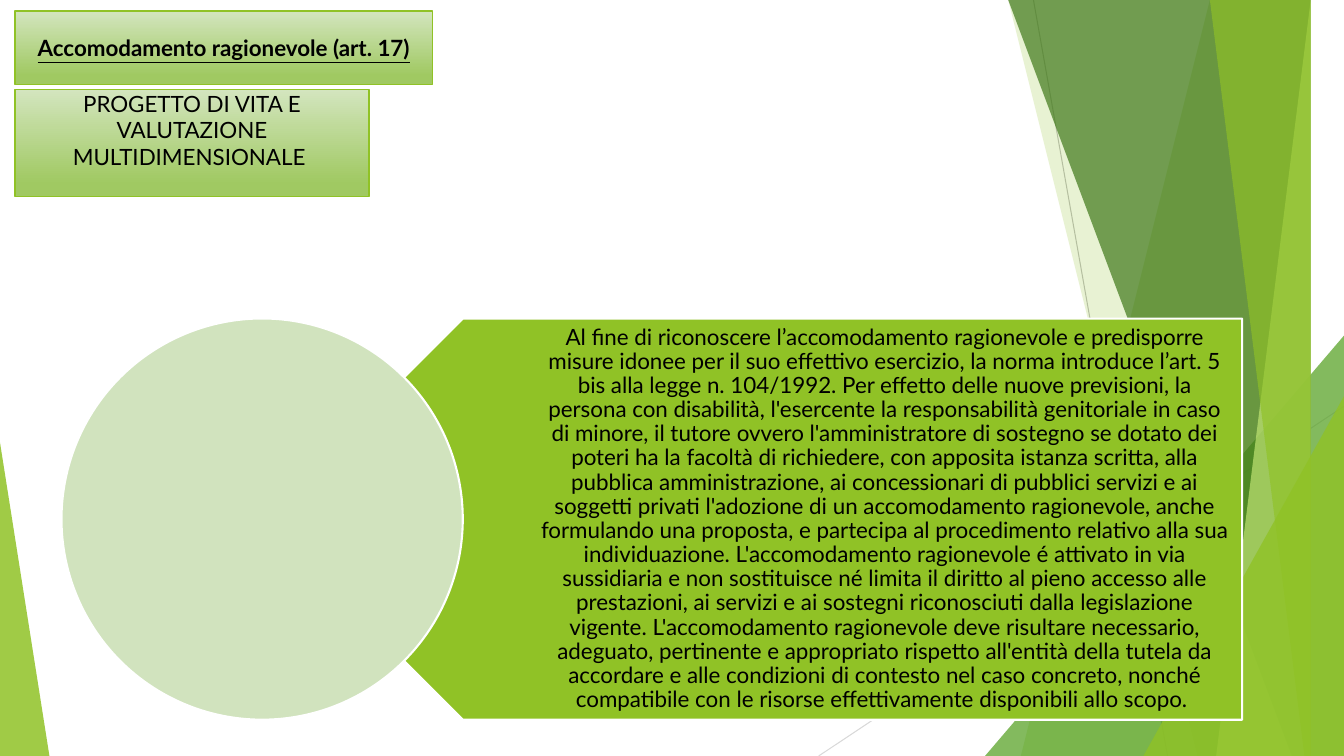
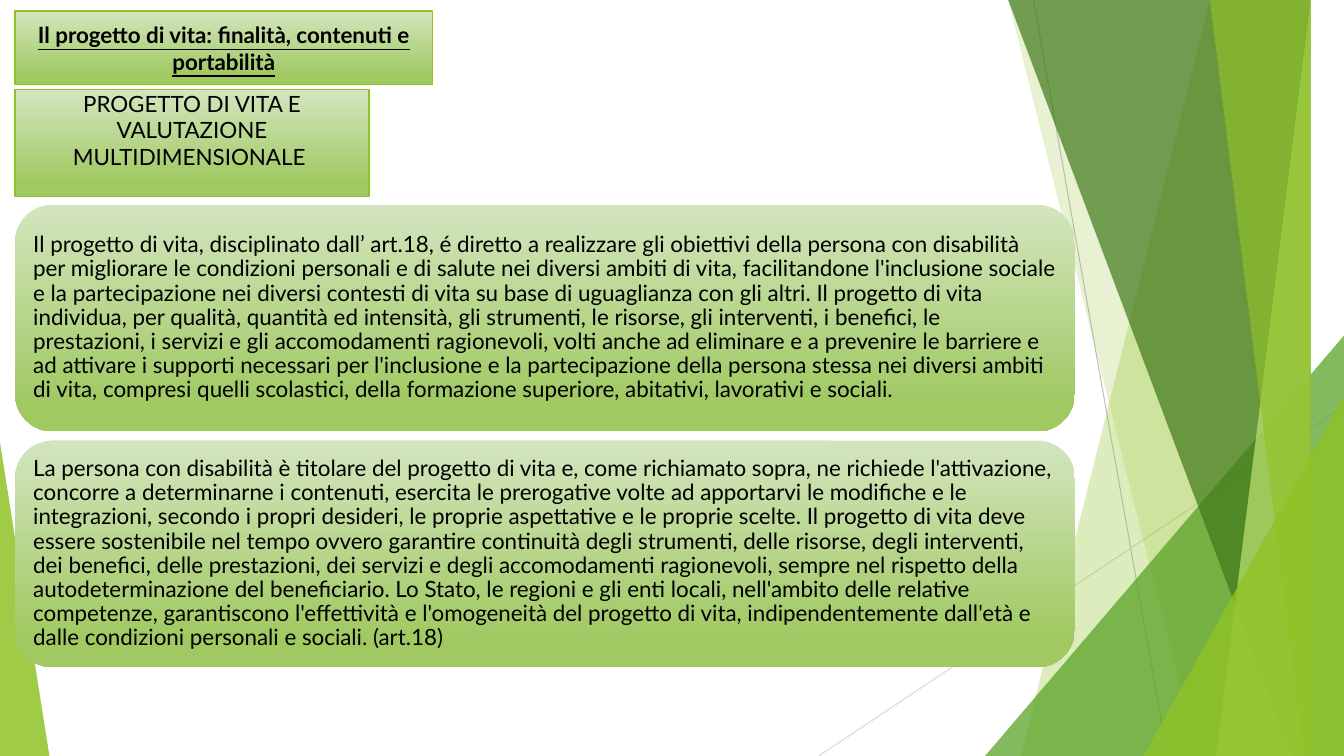
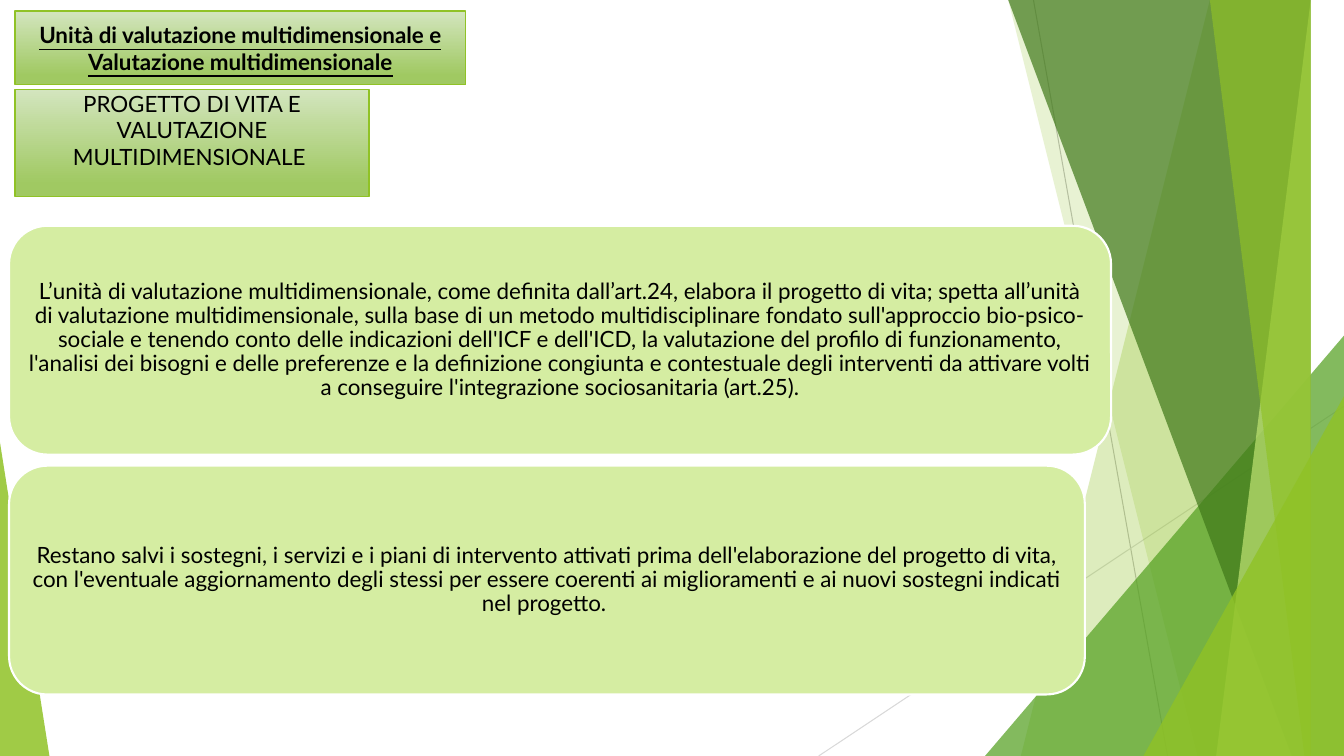
from lxml.etree import SubElement
from pptx import Presentation
from pptx.dml.color import RGBColor
from pptx.enum.shapes import MSO_CONNECTOR as Connector, MSO_SHAPE as Shape
from pptx.enum.text import MSO_ANCHOR as Anchor, PP_ALIGN as Align
from pptx.oxml.ns import qn
from pptx.util import Inches, Pt

WIDTH, HEIGHT = 13.33, 7.5
FONT = "Lato"
COLORS = {
    "white": "FFFFFF",
    "text": "000000",
    "lime": "90C226",
    "green": "54A021",
    "dark": "3F7819",
    "light": "C0E474",
    "card": "D5EDA2",
    "disc": "D1E3BE",
    "fade_top": "D3E5BE",
    "fade_bottom": "A0C962",
    "steep_line": "BFBFBF",
    "flat_line": "D9D9D9",
}
TOPIC = "PROGETTO DI VITA E VALUTAZIONE MULTIDIMENSIONALE "
ACCOMMODATION = [
    "Al fine di riconoscere l’accomodamento ragionevole e predisporre misure idonee per il suo "
    "effettivo esercizio, la norma introduce l’art. 5 bis alla legge n. 104/1992.",
    "Per effetto delle nuove previsioni, la persona con disabilità, l'esercente la responsabilità "
    "genitoriale in caso di minore, il tutore ovvero l'amministratore di sostegno se dotato dei "
    "poteri ha la facoltà di richiedere, con apposita istanza scritta, alla pubblica "
    "amministrazione, ai concessionari di pubblici servizi e ai soggetti privati l'adozione di un "
    "accomodamento ragionevole, anche formulando una proposta, e partecipa al procedimento "
    "relativo alla sua individuazione.",
    "L'accomodamento ragionevole é attivato in via sussidiaria e non sostituisce né limita il "
    "diritto al pieno accesso alle prestazioni, ai servizi e ai sostegni riconosciuti dalla "
    "legislazione vigente.",
    "L'accomodamento ragionevole deve risultare necessario, adeguato, pertinente e appropriato "
    "rispetto all'entità della tutela da accordare e alle condizioni di contesto nel caso "
    "concreto, nonché compatibile con le risorse effettivamente disponibili allo scopo. ",
]
PROJECT_AIMS = [
    "Il progetto di vita, disciplinato dall’ art.18, é diretto a realizzare gli obiettivi della "
    "persona con disabilità per migliorare le condizioni personali e di salute nei diversi ambiti "
    "di vita, facilitandone l'inclusione sociale e la partecipazione nei diversi contesti di vita "
    "su base di uguaglianza con gli altri.",
    "Il progetto di vita individua, per qualità, quantità ed intensità, gli strumenti, le "
    "risorse, gli interventi, i benefici, le prestazioni, i servizi e gli accomodamenti "
    "ragionevoli, volti anche ad eliminare e a prevenire le barriere e ad attivare i supporti "
    "necessari per l'inclusione e la partecipazione della persona stessa nei diversi ambiti di "
    "vita, compresi quelli scolastici, della formazione superiore, abitativi, lavorativi e sociali.",
]
PROJECT_OWNER = [
    "La persona con disabilità è titolare del progetto di vita e, come richiamato sopra, ne "
    "richiede l'attivazione, concorre a determinarne i contenuti, esercita le prerogative volte ad "
    "apportarvi le modifiche e le integrazioni, secondo i propri desideri, le proprie aspettative "
    "e le proprie scelte.",
    "Il progetto di vita deve essere sostenibile nel tempo ovvero garantire continuità degli "
    "strumenti, delle risorse, degli interventi, dei benefici, delle prestazioni, dei servizi e "
    "degli accomodamenti ragionevoli, sempre nel rispetto della autodeterminazione del "
    "beneficiario.",
    "Lo Stato, le regioni e gli enti locali, nell'ambito delle relative competenze, garantiscono "
    "l'effettività e l'omogeneità del progetto di vita, indipendentemente dall'età e dalle "
    "condizioni personali e sociali. (art.18)",
]
UNIT_ROLE = [
    "L’unità di valutazione multidimensionale, come definita dall’art.24, elabora il progetto di "
    "vita; spetta all’unità di valutazione multidimensionale, sulla base di un metodo "
    "multidisciplinare fondato sull'approccio bio-psico-sociale e tenendo conto delle indicazioni "
    "dell'ICF e dell'ICD, la valutazione del profilo di funzionamento, l'analisi dei bisogni e "
    "delle preferenze e la definizione congiunta e contestuale degli interventi da attivare volti "
    "a conseguire l'integrazione sociosanitaria (art.25).",
]
EXISTING_SUPPORT = [
    "Restano salvi i sostegni, i servizi e i piani di intervento attivati prima dell'elaborazione "
    "del progetto di vita, con l'eventuale aggiornamento degli stessi per essere coerenti ai "
    "miglioramenti e ai nuovi sostegni indicati nel progetto. ",
]


def color(name):
    """Return a palette colour."""
    return RGBColor.from_string(COLORS[name])


def paint(shape, fill, line=None, line_width=1.5, alpha=None):
    """Give a shape its fill, outline and optional opacity in percent."""
    shape.shadow.inherit = False
    if fill == "fade":
        shape.fill.gradient()
        shape.fill.gradient_angle = 270
        stops = shape.fill.gradient_stops
        for stop, place, name in zip(stops, (0, 0.88), ("fade_top", "fade_bottom")):
            stop.position = place
            stop.color.rgb = color(name)
    else:
        shape.fill.solid()
        shape.fill.fore_color.rgb = color(fill)
    if alpha:
        tint = next(shape._element.spPr.iter(qn("a:srgbClr")))
        SubElement(tint, qn("a:alpha"), val=str(alpha * 1000))
    if line:
        shape.line.color.rgb = color(line)
        shape.line.width = Pt(line_width)
    else:
        shape.line.fill.background()


def add_box(page, kind, box, fill, **style):
    """Add a painted preset shape in a box given in inches."""
    shape = page.shapes.add_shape(kind, *map(Inches, box))
    paint(shape, fill, **style)
    return shape


def write(shape, text, insets=(0.1, 0.05, 0.1, 0.05), align=Align.CENTER,
          anchor=Anchor.MIDDLE, spacing=0.9, strong=False):
    """Write one paragraph in the deck's text style."""
    frame = shape.text_frame
    frame.word_wrap = True
    frame.vertical_anchor = anchor
    frame.margin_left, frame.margin_top, frame.margin_right, frame.margin_bottom = map(Inches, insets)
    para = frame.paragraphs[0]
    para.text = text
    para.alignment = align
    para.line_spacing = spacing
    font = para.font
    font.name, font.size = FONT, Pt(16)
    font.color.rgb = color("text")
    if strong:
        font.bold = font.underline = True


def add_hairline(page, start, end, name):
    """Add a thin background line."""
    line = page.shapes.add_connector(Connector.STRAIGHT, *map(Inches, start + end))
    line.line.color.rgb = color(name)
    line.line.width = Pt(0.75)
    SubElement(line._element.spPr, qn("a:effectLst"))


def add_ribbon(page, top, bottom, fill, alpha):
    """Add a full-height band from a slanted edge to the right side."""
    builder = page.shapes.build_freeform(top, 0, scale=Inches(1))
    builder.add_line_segments([(WIDTH, 0), (WIDTH, HEIGHT), (bottom, HEIGHT)], close=True)
    paint(builder.convert_to_shape(), fill, alpha=alpha)


def add_corner(page, left, top, width, peak, fill, alpha):
    """Add a right-angled triangle standing on the bottom edge."""
    box = (left, top, width, HEIGHT - top)
    corner = add_box(page, Shape.ISOSCELES_TRIANGLE, box, fill, alpha=alpha)
    corner.adjustments[0] = peak


def add_backdrop(page):
    """Draw the green facets shared by all slides."""
    add_hairline(page, (10.25, 0), (11.58, HEIGHT), "steep_line")
    add_hairline(page, (WIDTH, 4.03), (8.12, HEIGHT), "flat_line")
    add_ribbon(page, 12.28, 10.04, "lime", 30)
    add_ribbon(page, 10.5, 11.83, "lime", 20)
    add_corner(page, 9.77, 3.33, 3.56, 1, "green", 72)
    add_ribbon(page, 10.21, 12.91, "dark", 70)
    add_ribbon(page, 13.03, 11.92, "light", 70)
    add_ribbon(page, 11.96, 13.18, "lime", 65)
    add_corner(page, 11.34, 3.93, 1.99, 1, "lime", 80)
    add_corner(page, 0, 4.39, 0.49, 0, "lime", 85)


def add_heading(page, title, width):
    """Add the title plate and the topic plate below it."""
    plate = add_box(page, Shape.RECTANGLE, (0.15, 0.11, width, 0.73), "fade", line="lime", line_width=1)
    write(plate, title, spacing=1.0, strong=True)
    topic = add_box(page, Shape.RECTANGLE, (0.15, 0.89, 3.51, 1.06), "fade", line="lime", line_width=1)
    write(topic, TOPIC, insets=(0.1, 0, 0.1, 0), anchor=Anchor.TOP, spacing=1.0)


def add_callout(page, left, top, width, size, sentences):
    """Add a disc with a text arrow behind it pointing left."""
    tip = left + size / 2
    arrow_box = (tip, top, width - size / 2, size)
    add_box(page, Shape.PENTAGON, arrow_box, "lime", line="white").rotation = 180
    label_box = (tip + 1, top, width - size / 2 - 1, size)
    label = page.shapes.add_textbox(*map(Inches, label_box))
    write(label, " ".join(sentences), insets=(1.75, 0.07, 0.12, 0.07))
    add_box(page, Shape.OVAL, (left, top, size, size), "disc", line="white")


def add_cards(page, left, top, height, gap, cards, fill, line=None, align=Align.CENTER, pad=0.03):
    """Stack rounded text cards, each given as width and sentences."""
    for row, (width, sentences) in enumerate(cards):
        box = (left, top + row * (height + gap), width, height)
        card = add_box(page, Shape.ROUNDED_RECTANGLE, box, fill, line=line)
        write(card, " ".join(sentences), insets=(0.07, pad, 0.07, pad), align=align)


def add_page(deck, title, title_width=4.14):
    """Add a slide with backdrop and heading."""
    page = deck.slides.add_slide(deck.slide_layouts[6])
    add_backdrop(page)
    add_heading(page, title, title_width)
    return page


def main():
    """Build and save the deck."""
    deck = Presentation()
    deck.slide_width, deck.slide_height = Inches(WIDTH), Inches(HEIGHT)

    page = add_page(deck, "Accomodamento ragionevole (art. 17)")
    add_callout(page, 0.61, 3.16, 11.71, 3.98, ACCOMMODATION)

    page = add_page(deck, "Il progetto di vita: finalità, contenuti e portabilità")
    cards = [(10.51, PROJECT_AIMS), (10.51, PROJECT_OWNER)]
    add_cards(page, 0.15, 2.03, 2.25, 0.09, cards, "fade", align=Align.LEFT, pad=0.07)

    page = add_page(deck, "Unità di valutazione multidimensionale e Valutazione multidimensionale", 4.47)
    cards = [(10.93, UNIT_ROLE), (10.67, EXISTING_SUPPORT)]
    add_cards(page, 0.09, 2.24, 2.27, 0.11, cards, "card", line="white")

    deck.save("out.pptx")


if __name__ == "__main__":
    main()
